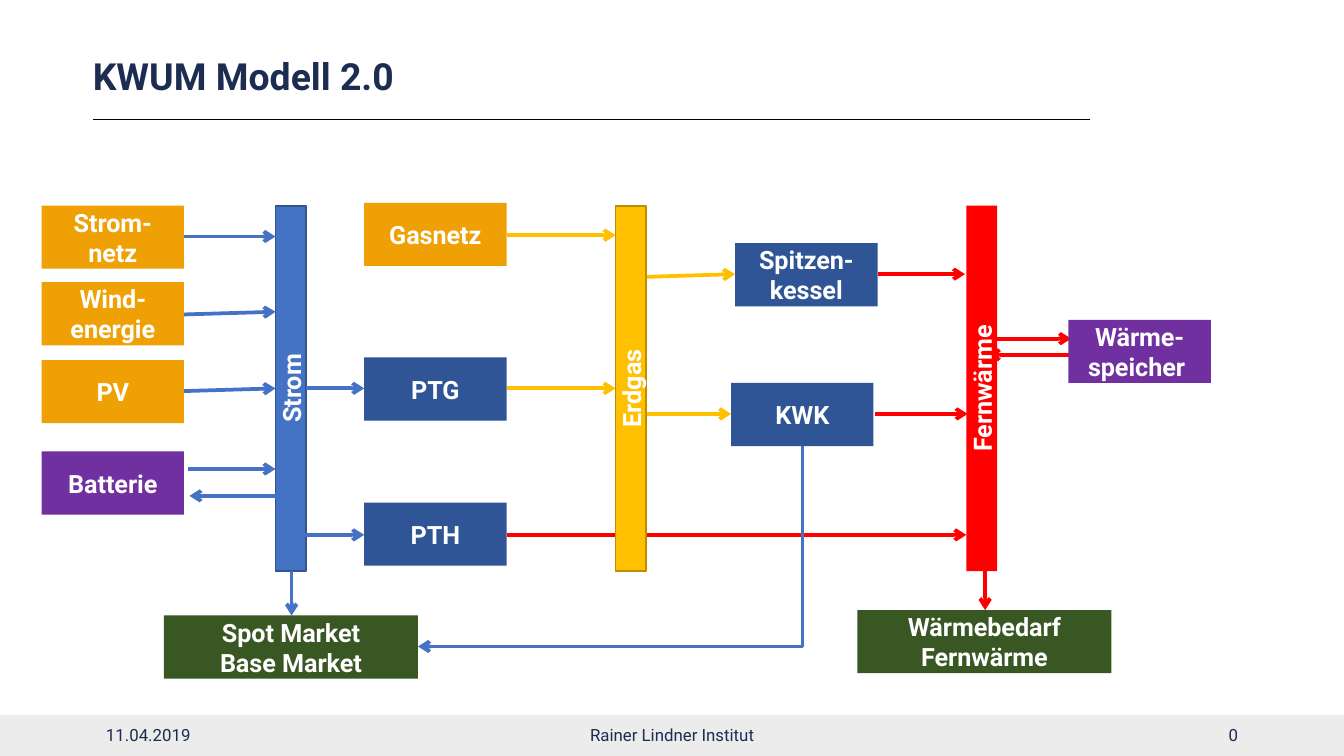
import dataclasses

import pptx
import pptx.dml.color
import pptx.enum.shapes
import pptx.enum.text
import pptx.oxml
import pptx.oxml.ns
import pptx.util

Inches = pptx.util.Inches
Pt = pptx.util.Pt
qn = pptx.oxml.ns.qn
RGB = pptx.dml.color.RGBColor.from_string
ALIGN = pptx.enum.text.PP_ALIGN
MIDDLE = pptx.enum.text.MSO_ANCHOR.MIDDLE
RECTANGLE = pptx.enum.shapes.MSO_SHAPE.RECTANGLE
CONNECTOR = pptx.enum.shapes.MSO_CONNECTOR


@dataclasses.dataclass(frozen=True)
class Theme:
    """Colours, font and type sizes of the slide."""
    font: str = "Roboto"
    ink: str = "1C2D51"
    white: str = "FFFFFF"
    black: str = "000000"
    band: str = "ECECEC"
    source: str = "EEA004"
    converter: str = "2F5597"
    storage: str = "7030A0"
    demand: str = "385723"
    power: str = "4472C4"
    power_edge: str = "325491"
    gas: str = "FFC000"
    gas_edge: str = "BD8E00"
    heat: str = "FF0000"
    title_size: float = 20
    label_size: float = 13.5
    footer_size: float = 9


THEME = Theme()


def apply(target, formats):
    """Set every attribute of target named in formats."""
    for attribute, value in formats.items():
        setattr(target, attribute, value)


def write(frame, text, size, color, align, bold=False, insets=(0.1, 0.05, 0.1, 0.05)):
    """Fill a text frame with one paragraph per line of text."""
    left, top, right, bottom = map(Inches, insets)
    apply(frame, {"text": text, "word_wrap": True, "vertical_anchor": MIDDLE,
                  "margin_left": left, "margin_top": top,
                  "margin_right": right, "margin_bottom": bottom})
    for paragraph in frame.paragraphs:
        paragraph.alignment = align
        for run in paragraph.runs:
            apply(run.font, {"name": THEME.font, "size": Pt(size), "bold": bold})
            run.font.color.rgb = RGB(color)


def add_block(slide, box, fill, edge=None):
    """Add a flat rectangle, outlined only when an edge colour is given."""
    block = slide.shapes.add_shape(RECTANGLE, *map(Inches, box))
    block.shadow.inherit = False
    block.fill.solid()
    block.fill.fore_color.rgb = RGB(fill)
    if edge:
        block.line.color.rgb = RGB(edge)
        block.line.width = Pt(1)
    else:
        block.line.fill.background()
    return block


def add_line(slide, start, end, color, width, arrow=True, kind=CONNECTOR.STRAIGHT):
    """Add a connector without shadow, with an open arrowhead if wanted."""
    line = slide.shapes.add_connector(kind, *map(Inches, (*start, *end)))
    line.line.color.rgb = RGB(color)
    line.line.width = Pt(width)
    properties = line._element.spPr
    if arrow:
        head = pptx.oxml.parse_xml(
            f'<a:tailEnd {pptx.oxml.ns.nsdecls("a")} type="arrow"/>')
        properties.find(qn("a:ln")).append(head)
    properties.append(pptx.oxml.parse_xml(
        f'<a:effectLst {pptx.oxml.ns.nsdecls("a")}/>'))
    return line


def add_elbow(slide, start, end, color, width):
    """Add an arrow that runs down from start, then left to end."""
    across, down = start[0] - end[0], end[1] - start[1]
    middle_x, middle_y = (start[0] + end[0]) / 2, (start[1] + end[1]) / 2
    # The quarter turn swaps width and height around the same centre.
    left, top = middle_x - down / 2, middle_y - across / 2
    elbow = add_line(slide, (left, top), (left + down, top + across),
                     color, width, kind=CONNECTOR.ELBOW)
    properties = elbow._element.spPr
    properties.find(qn("a:xfrm")).set("rot", "5400000")
    properties.find(qn("a:prstGeom")).set("prst", "bentConnector2")


def add_heading(slide, box, text):
    """Place the title in its box and the rule below it."""
    left, top, width, height = box
    title = slide.shapes.title
    apply(title, dict(zip(("left", "top", "width", "height"), map(Inches, box))))
    write(title.text_frame, text, THEME.title_size, THEME.ink, ALIGN.LEFT,
          bold=True, insets=(0, 0.05, 0.1, 0.05))
    title.text_frame.paragraphs[0].line_spacing = 0.9
    rule_y = top + height + 0.02
    add_line(slide, (left, rule_y), (left + 7.42, rule_y), THEME.black, 0.5, arrow=False)


def add_footer(slide, box, date, institute, number):
    """Draw the footer band with date, institute and page number."""
    add_block(slide, box, THEME.band)
    left, top = box[:2]
    for x, width, text, align in ((0.69, 2.25, date, ALIGN.LEFT),
                                  (3.31, 3.38, institute, ALIGN.CENTER),
                                  (7.06, 2.25, number, ALIGN.RIGHT)):
        field = slide.shapes.add_textbox(*map(Inches, (left + x, top, width, 0.3)))
        write(field.text_frame, text, THEME.footer_size, THEME.ink, align)


def add_energy_model(slide, box):
    """Draw carriers, plants and energy flows relative to the box."""
    left, top = box[:2]
    carrier_width, carrier_height = 0.23, 2.72
    plant_width, market_width, plant_height = 1.06, 1.89, 0.47
    flow_width = 2

    def at(x, y):
        """Shift a point of the model into its box."""
        return left + x, top + y

    def add_carrier(label, x, fill, edge=None):
        """Add an upright bar for one energy carrier."""
        carrier = add_block(slide, (*at(x, 0), carrier_width, carrier_height), fill, edge)
        write(carrier.text_frame, label, THEME.label_size, THEME.white,
              ALIGN.CENTER, bold=True, insets=(0, 0, 0, 0))
        carrier.text_frame._txBody.bodyPr.set("vert", "vert270")

    add_carrier("Strom", 1.74, THEME.power, THEME.power_edge)

    flows = {
        THEME.power: (
            (1.06, 0.23, 1.74, 0.23), (1.06, 0.81, 1.74, 0.79),
            (1.06, 1.38, 1.74, 1.36), (1.09, 1.96, 1.74, 1.96),
            (1.80, 2.16, 1.10, 2.16), (1.97, 1.36, 2.40, 1.36),
            (1.87, 2.45, 2.40, 2.45), (1.86, 2.72, 1.86, 3.05)),
        THEME.gas: (
            (3.46, 0.22, 4.27, 0.22), (3.46, 1.36, 4.27, 1.36),
            (4.50, 0.53, 5.16, 0.51), (4.48, 1.55, 5.13, 1.55)),
        THEME.heat: (
            (6.22, 0.51, 6.87, 0.51), (6.20, 1.55, 6.89, 1.55),
            (7.02, 0.99, 7.66, 0.99), (7.68, 1.11, 7.04, 1.11),
            (3.46, 2.45, 6.88, 2.45), (7.02, 2.69, 7.02, 3.01)),
    }
    for color, routes in flows.items():
        for x1, y1, x2, y2 in routes:
            add_line(slide, at(x1, y1), at(x2, y2), color, flow_width)
    add_elbow(slide, at(5.66, 1.79), at(2.80, 3.28), THEME.power, flow_width)

    add_carrier("Erdgas", 4.27, THEME.gas, THEME.gas_edge)
    add_carrier("Fernwärme", 6.88, THEME.heat)

    for label, x, y, width, fill in (
            ("Strom-netz", 0, 0, plant_width, THEME.source),
            ("Wind-energie", 0, 0.57, plant_width, THEME.source),
            ("PV", 0, 1.15, plant_width, THEME.source),
            ("Batterie", 0, 1.83, plant_width, THEME.storage),
            ("Gasnetz", 2.40, -0.02, plant_width, THEME.source),
            ("PTG", 2.40, 1.13, plant_width, THEME.converter),
            ("PTH", 2.40, 2.21, plant_width, THEME.converter),
            ("Spitzen-kessel", 5.16, 0.28, plant_width, THEME.converter),
            ("KWK", 5.13, 1.32, plant_width, THEME.converter),
            ("Wärme-speicher ", 7.64, 0.85, plant_width, THEME.storage),
            ("Spot Market\nBase Market", 0.91, 3.05, market_width, THEME.demand),
            ("Wärmebedarf Fernwärme", 6.07, 3.01, market_width, THEME.demand)):
        plant = add_block(slide, (*at(x, y), width, plant_height), fill)
        write(plant.text_frame, label, THEME.label_size, THEME.white,
              ALIGN.CENTER, bold=True)


def main():
    """Build and save the widescreen slide."""
    deck = pptx.Presentation()
    slide_width = Inches(10)
    apply(deck, {"slide_width": slide_width, "slide_height": slide_width * 9 // 16})
    slide = deck.slides.add_slide(deck.slide_layouts[5])
    add_footer(slide, (0, 5.32, 10, 0.31), "11.04.2019", "Rainer Lindner Institut", "0")
    add_heading(slide, (0.69, 0.3, 7.53, 0.57), "KWUM Modell 2.0")
    add_energy_model(slide, (0.31, 1.53, 8.7, 3.52))
    deck.save("out.pptx")


main()
